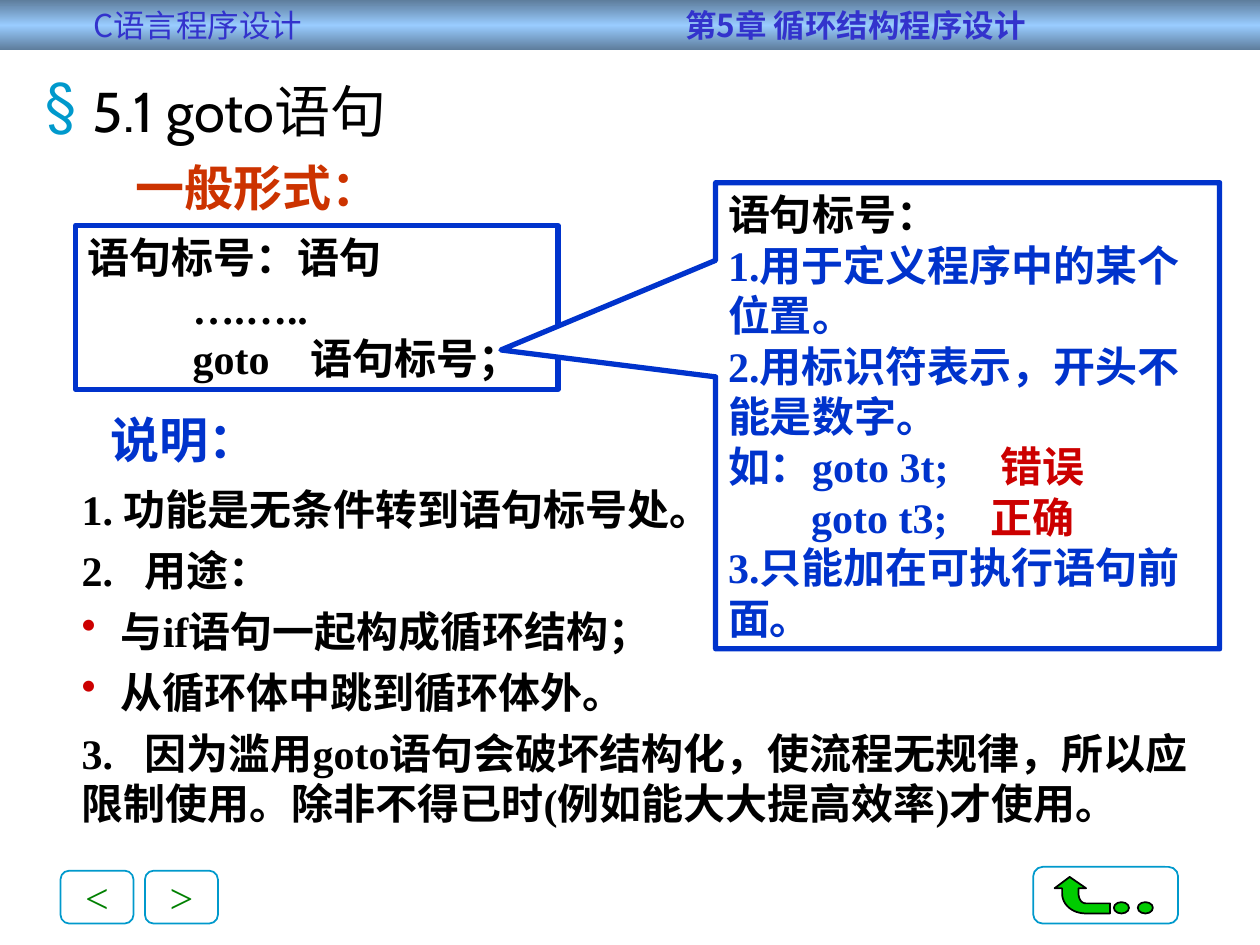
from copy import deepcopy
from dataclasses import dataclass
from typing import NamedTuple

from lxml.etree import SubElement
from pptx import Presentation
from pptx.dml.color import RGBColor
from pptx.enum.shapes import MSO_SHAPE as Shape
from pptx.enum.text import MSO_ANCHOR as Anchor, PP_ALIGN as Align
from pptx.oxml.ns import qn
from pptx.util import Inches, Pt

CELL = 0.1
COLUMNS, ROWS = 100, 75


@dataclass(frozen=True)
class Theme:
    """Colours, fonts and type sizes of the slide."""
    black: str = "000000"
    white: str = "FFFFFF"
    steel: str = "5D7C9B"
    sky: str = "99CCFF"
    indigo: str = "3333CC"
    blue: str = "0033CC"
    cyan: str = "0099CC"
    orange: str = "CC3300"
    red: str = "CC0000"
    green: str = "008000"
    lime: str = "00CC00"
    serif: str = "Times New Roman"
    sans: str = "Noto Sans CJK SC"
    display: str = "Cabin"
    small: int = 18
    body: int = 24
    heading: int = 28
    title: int = 32


THEME = Theme()


class Box(NamedTuple):
    """A rectangle counted in grid columns and rows."""
    column: float
    row: float
    width: float
    height: float

    def inner(self, column, row, width, height):
        """Return a box whose origin is relative to this one."""
        return Box(self.column + column, self.row + row, width, height)

    def lengths(self):
        """Return the box as slide lengths."""
        return [Inches(value * CELL) for value in self]


def apply_format(target, values):
    """Set every attribute named in a dict of format values."""
    for name, value in values.items():
        setattr(target, name, value)


def add_marks(paragraph, bullet, bullet_color, tabs):
    """Add a coloured bullet and tab stops, given in columns."""
    properties = paragraph._p.get_or_add_pPr()
    if bullet:
        color = SubElement(properties, qn("a:buClr"))
        SubElement(color, qn("a:srgbClr"), val=bullet_color)
        SubElement(properties, qn("a:buChar"), char=bullet)
    if tabs:
        stops = SubElement(properties, qn("a:tabLst"))
        for tab in tabs:
            SubElement(stops, qn("a:tab"), pos=str(Inches(tab * CELL)), algn="l")


def add_run(paragraph, text, color, size=THEME.body, face=THEME.serif, bold=True):
    """Add one formatted run with an East Asian face."""
    run = paragraph.add_run()
    run.text = text
    apply_format(run.font, {"size": Pt(size), "name": face, "bold": bold})
    run.font.color.rgb = RGBColor.from_string(color)
    SubElement(run._r.get_or_add_rPr(), qn("a:ea"), typeface=THEME.sans)


def write(shape, lines, anchor=Anchor.TOP, wrap=True, **style):
    """Fill a shape with lines, each a dict of runs and paragraph format."""
    frame = shape.text_frame
    apply_format(frame, {"word_wrap": wrap, "vertical_anchor": anchor})
    for index, line in enumerate(lines):
        paragraph = frame.add_paragraph() if index else frame.paragraphs[0]
        apply_format(paragraph, {"alignment": Align.LEFT} | line.get("format", {}))
        hanging = line.get("hanging")
        if hanging:
            properties = paragraph._p.get_or_add_pPr()
            properties.set("marL", str(Inches(hanging * CELL)))
            properties.set("indent", str(-Inches(hanging * CELL)))
        add_marks(paragraph, line.get("bullet"), line.get("bullet_color"), line.get("tabs"))
        for text, color in line["runs"]:
            add_run(paragraph, text, color, **style)


def paint(shape, fill=None, line=None, width=1):
    """Give a shape a plain fill and outline without a shadow."""
    shape.shadow.inherit = False
    if fill:
        shape.fill.solid()
        shape.fill.fore_color.rgb = RGBColor.from_string(fill)
    else:
        shape.fill.background()
    if line:
        shape.line.color.rgb = RGBColor.from_string(line)
        shape.line.width = Pt(width)
    else:
        shape.line.fill.background()
    return shape


def add_panel(slide, kind, box, adjustments=(), **look):
    """Add a painted preset shape."""
    shape = slide.shapes.add_shape(kind, *box.lengths())
    for index, value in enumerate(adjustments):
        shape.adjustments[index] = value
    return paint(shape, **look)


def add_header(slide, box):
    """Place the gradient bar with course and chapter names."""
    bar = add_panel(slide, Shape.RECTANGLE, box)
    bar.fill.gradient()
    bar.fill.gradient_angle = 90
    stops = bar._element.spPr.find(qn("a:gradFill")).find(qn("a:gsLst"))
    stops.insert(1, deepcopy(stops[0]))
    for stop, position, color in zip(
            bar.fill.gradient_stops, (0, 0.5, 1), (THEME.steel, THEME.sky, THEME.steel)):
        stop.position = position
        stop.color.rgb = RGBColor.from_string(color)
    write(bar, [{"runs": [("\tC语言程序设计\t", THEME.indigo), ("第5章 循环结构程序设计", THEME.indigo)],
                 "tabs": (6.4, 53.4)}], size=THEME.small, face=THEME.sans)
    bar.text_frame.paragraphs[0].runs[0].font.bold = False


def add_page_buttons(slide, box):
    """Place the back and forward buttons at the two ends of the box."""
    width = 5.8
    for column, label in ((0, "<"), (box.width - width, ">")):
        button = add_panel(slide, Shape.ROUNDED_RECTANGLE, box.inner(column, 0, width, box.height),
                           (0.167,), line=THEME.cyan)
        write(button, [{"runs": [(label, THEME.green)], "format": {"alignment": Align.CENTER}}],
              anchor=Anchor.MIDDLE, wrap=False, bold=False)


def curve(start, first, second, end, steps=12):
    """Return points along a cubic curve, without its start."""
    shares = [step / steps for step in range(1, steps + 1)]
    return [tuple((1 - t) ** 3 * a + 3 * (1 - t) ** 2 * t * b + 3 * (1 - t) * t ** 2 * c + t ** 3 * d
                  for a, b, c, d in zip(start, first, second, end)) for t in shares]


def add_return_button(slide, box):
    """Place the return button with its bent arrow and two dots."""
    outline = [(2.9, 0.8), (1.7, 1.7), (2.3, 1.7), (2.3, 2.1),
               *curve((2.3, 2.1), (2.3, 3), (3.1, 3.7), (4.2, 3.7)),
               (6.1, 3.7), (6.1, 2.9), (4.2, 2.9),
               *curve((4.2, 2.9), (3.8, 2.9), (3.6, 2.5), (3.6, 2.1)),
               (3.6, 1.7), (4.2, 1.7)]
    points = [tuple(box.inner(x, y, 0, 0).lengths()[:2]) for x, y in outline]
    builder = slide.shapes.build_freeform(*points[0])
    builder.add_line_segments(points[1:], close=True)
    paint(builder.convert_to_shape(), fill=THEME.lime, line=THEME.black)
    for column in (6.4, 8.3):
        add_panel(slide, Shape.OVAL, box.inner(column, 2.8, 1.2, 0.9), fill=THEME.lime, line=THEME.black)
    add_panel(slide, Shape.ROUNDED_RECTANGLE, box, (0.167,), line=THEME.cyan)


def add_title(slide, box):
    """Place the section title."""
    write(slide.shapes.add_textbox(*box.lengths()),
          [{"runs": [("5.1 goto语句", THEME.black)], "hanging": 3.8,
            "bullet": "§", "bullet_color": THEME.cyan}],
          size=THEME.title, face=THEME.display, bold=False)


def add_heading(slide, box, text, color):
    """Place a centred heading."""
    write(slide.shapes.add_textbox(*box.lengths()),
          [{"runs": [(text, color)], "format": {"alignment": Align.CENTER, "line_spacing": 0.8}}],
          size=THEME.heading)


def add_syntax(slide, box):
    """Place the framed general form of the statement."""
    lines = ("语句标号：语句", "\t….…..", "\tgoto\t语句标号；")
    write(add_panel(slide, Shape.RECTANGLE, box, line=THEME.blue, width=3),
          [{"runs": [(text, THEME.black)], "tabs": (8.3, 17.7)} for text in lines])


def add_notes(slide, box):
    """Place the numbered and bulleted explanation."""
    lines = ((None, "1. 功能是无条件转到语句标号处。"), (None, "2.\t用途："),
             ("•", "与if语句一起构成循环结构；"), ("•", "从循环体中跳到循环体外。"),
             (None, "3.\t因为滥用goto语句会破坏结构化，使流程无规律，所以应限制使用。"
                    "除非不得已时(例如能大大提高效率)才使用。"))
    write(slide.shapes.add_textbox(*box.lengths()),
          [{"runs": [(text, THEME.black)], "bullet": bullet, "bullet_color": THEME.red,
            "hanging": 3.1 if bullet else None, "tabs": None if bullet else (5,),
            "format": {"space_before": Pt(6)} if index else {}}
           for index, (bullet, text) in enumerate(lines)])


def add_label_callout(slide, box):
    """Place the callout with the rules for labels."""
    blue, red = THEME.blue, THEME.red
    callout = add_panel(slide, Shape.RECTANGULAR_CALLOUT, box, (-0.926, -0.141),
                        fill=THEME.white, line=blue, width=3)
    write(callout, [
        {"runs": [("语句标号：", THEME.black)]},
        {"runs": [("1.用于定义程序中的某个位置。", blue)]},
        {"runs": [("2.用标识符表示，开头不能是数字。", blue)]},
        {"runs": [("如：goto 3t;\t", blue), ("错误", red)], "tabs": (21.6,)},
        {"runs": [("\tgoto t3;\t", blue), ("正确", red)], "tabs": (6.6, 20.8)},
        {"runs": [("3.只能加在可执行语句前面。", blue)]}], anchor=Anchor.MIDDLE)


def main():
    """Build the slide and save it."""
    presentation = Presentation()
    apply_format(presentation, {"slide_width": Inches(COLUMNS * CELL), "slide_height": Inches(ROWS * CELL)})
    slide = presentation.slides.add_slide(presentation.slide_layouts[6])
    add_header(slide, Box(0, 0, COLUMNS, 4))
    add_page_buttons(slide, Box(4.8, 69.1, 12.5, 4.2))
    add_return_button(slide, Box(82, 68.8, 11.5, 4.5))
    add_title(slide, Box(2.6, 5.6, 95.4, 6.5))
    add_heading(slide, Box(4.3, 12.9, 32.4, 4.8), "一般形式：", THEME.orange)
    add_syntax(slide, Box(6, 17.9, 38.3, 13))
    add_notes(slide, Box(5.5, 37.9, 90.5, 28.4))
    add_heading(slide, Box(4.3, 32.9, 20.6, 4.8), "说明：", THEME.blue)
    add_label_callout(slide, Box(56.8, 14.5, 40, 37))
    presentation.save("out.pptx")


if __name__ == "__main__":
    main()
